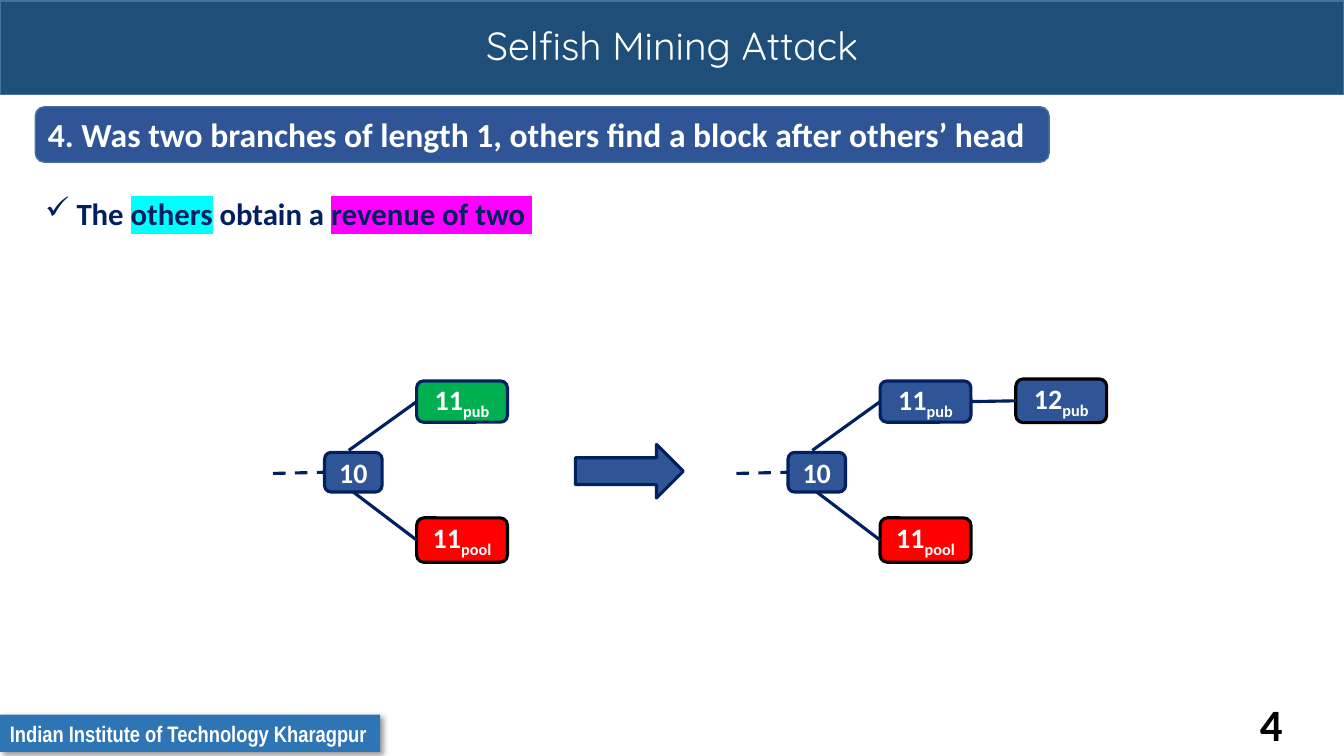
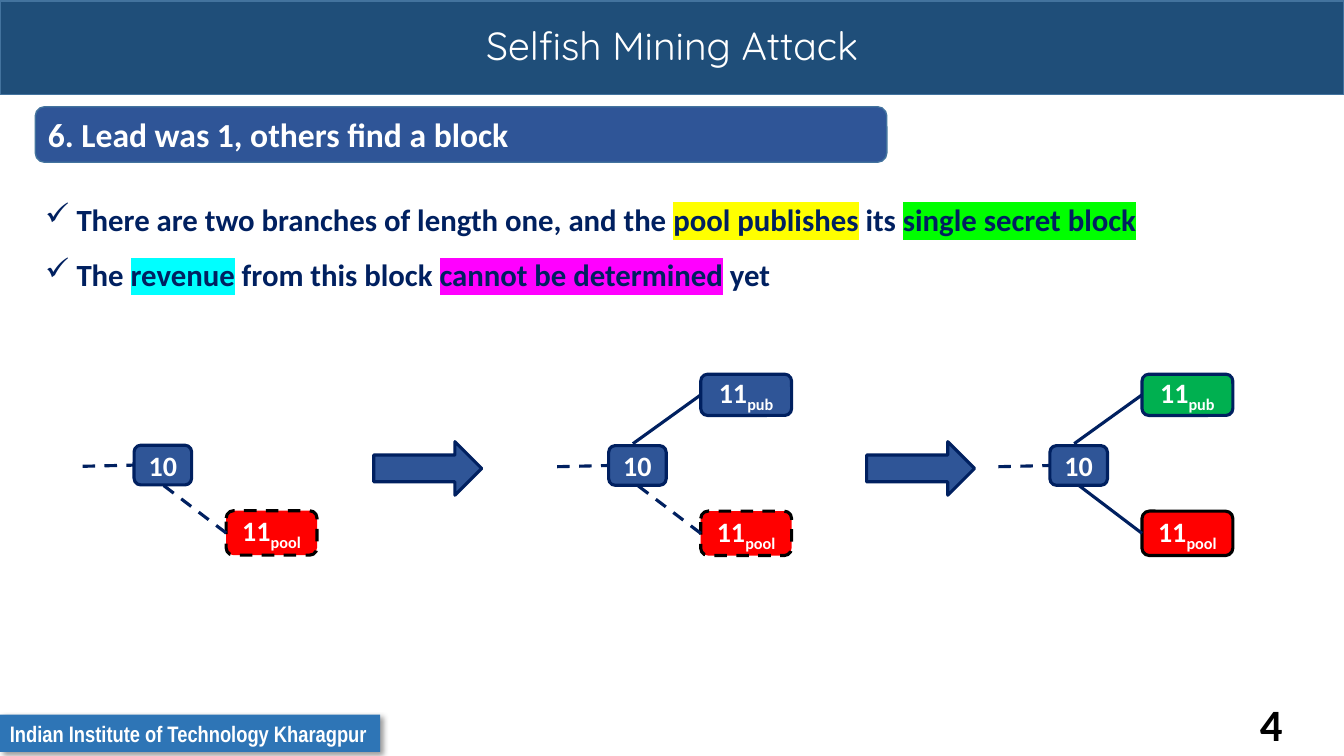
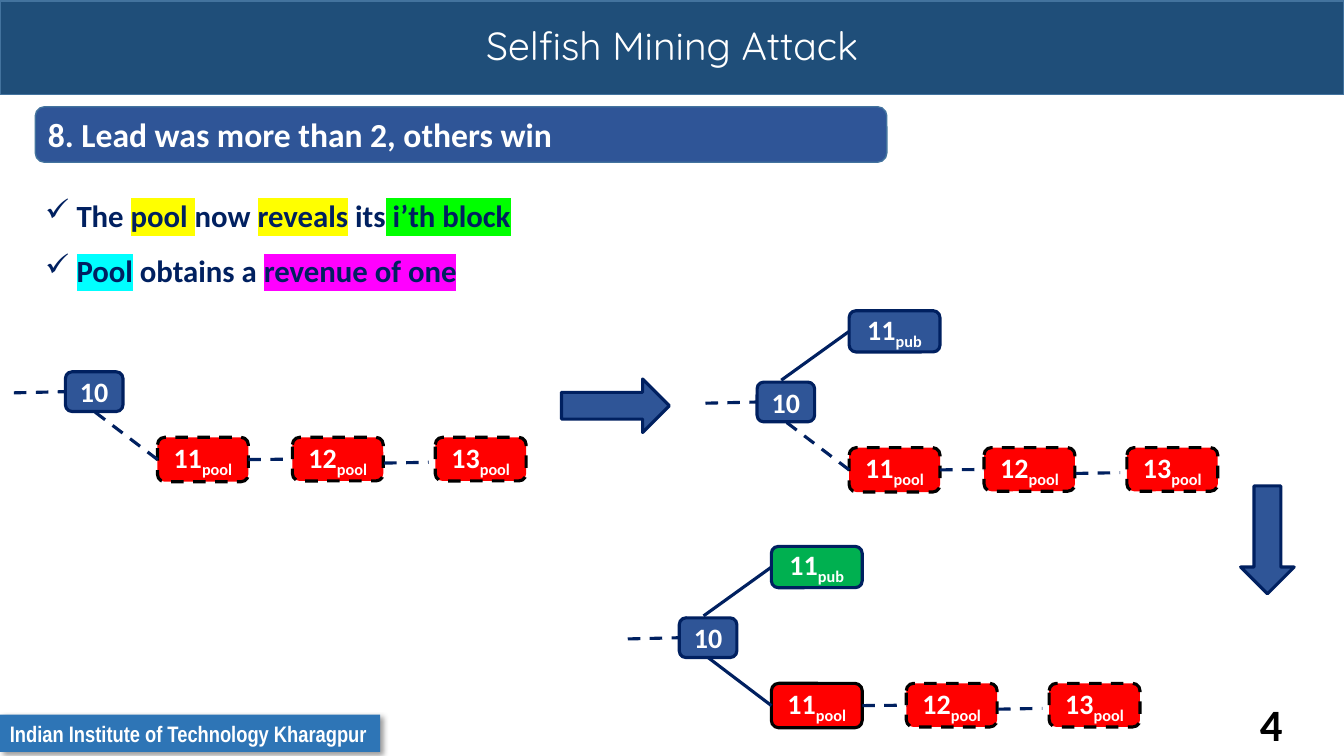
"""Build three slides on the selfish mining attack."""
from dataclasses import dataclass

from lxml.etree import SubElement
from pptx import Presentation
from pptx.dml.color import RGBColor as Rgb
from pptx.enum.dml import MSO_LINE as Dash
from pptx.enum.shapes import MSO_CONNECTOR as Wire, MSO_SHAPE as Form
from pptx.enum.text import MSO_ANCHOR as Anchor, MSO_AUTO_SIZE as Fit, PP_ALIGN as Align
from pptx.oxml.ns import qn
from pptx.shapes.autoshape import Shape
from pptx.shapes.connector import Connector
from pptx.slide import Slide, SlideLayout
from pptx.text.text import _Paragraph as Para, _Run as Run
from pptx.util import Cm, Pt

HUES = {
    "band": "1F4E79", "edge": "43739E", "foot": "2E75B6", "blue": "2F5597",
    "navy": "002060", "green": "00B050", "red": "FF0000", "black": "000000",
    "white": "FFFFFF", "aqua": "00FFFF", "pink": "FF00FF", "yellow": "FFFF00",
    "lime": "00FF00",
}
WIDE, HIGH = 33.87, 19.05
BAND = (0, 0.03, WIDE, 2.36)
TOP, LEFT, BOTTOM, RIGHT = range(4)
Point = tuple[float, float]
Box = tuple[float, float, float, float]
Line = list[tuple[str, str]]


@dataclass
class Fork:
    """A root block at x, y with its public and pool branches."""
    x: float
    y: float
    pub: str = ""
    pool: str = "open"
    more: bool = False
    won: bool = False


@dataclass
class Arrow:
    """A block arrow between two states."""
    x: float
    y: float
    turn: int = 0


@dataclass
class Page:
    """The content of one slide."""
    head: str
    width: float
    top: float
    lines: list[Line]
    forks: list[Fork]
    arrows: list[Arrow]


PAGES = [
    Page("4. Was two branches of length 1, others find a block after others’ head",
         25.55, 4.32,
         [[("The ", ""), ("others", "aqua"), (" obtain a ", ""), ("revenue of two ", "pink")]],
         [Fork(8.18, 11.4, "green"), Fork(19.86, 11.4, "blue", won=True)],
         [Arrow(14.5, 11.2)]),
    Page("6. Lead was 1, others find a block", 21.46, 4.47,
         [[("There are two branches of length one, and the ", ""), ("pool publishes", "yellow"),
           (" its ", ""), ("single secret block", "lime")],
          [("The ", ""), ("revenue", "aqua"), (" from this block ", ""),
           ("cannot be determined", "pink"), (" yet", "")]],
         [Fork(3.38, 11.22, pool="secret"), Fork(15.34, 11.23, "blue", "secret"),
          Fork(26.46, 11.23, "green")],
         [Arrow(9.42, 11.13), Arrow(21.84, 11.13)]),
    Page("8. Lead was more than 2, others win", 21.46, 4.37,
         [[("The ", ""), ("pool ", "yellow"), ("now ", ""), ("reveals", "yellow"),
           (" its", ""), (" i’th block", "lime")],
          [("Pool", "aqua"), (" obtains a ", ""), ("revenue of one", "pink")]],
         [Fork(1.65, 9.37, pool="secret", more=True),
          Fork(19.08, 9.63, "blue", "secret", more=True),
          Fork(17.12, 15.57, "green", more=True)],
         [Arrow(14.15, 9.55), Arrow(30.58, 12.93, 90)]),
]


def tint(name: str) -> Rgb:
    """Return a named colour."""
    return Rgb.from_string(HUES[name])


def write(para: Para, text: str, size: float, hue: str = "white",
          face: str = "Calibri", bold: bool = True) -> Run:
    """Add a formatted run."""
    run = para.add_run()
    run.text = text
    font = run.font
    font.size, font.name, font.bold = Pt(size), face, bold
    font.color.rgb = tint(hue)
    return run


def plate(slide: Slide, form: Form, box: Box, fill: str, edge: str = "",
          weight: float = 1, dash: bool = False) -> Shape:
    """Draw a filled shape with an optional outline."""
    shape = slide.shapes.add_shape(form, *map(Cm, box))
    shape.shadow.inherit = False
    shape.fill.solid()
    shape.fill.fore_color.rgb = tint(fill)
    if edge:
        shape.line.color.rgb = tint(edge)
        shape.line.width = Pt(weight)
        if dash:
            shape.line.dash_style = Dash.DASH
    else:
        shape.line.fill.background()
    return shape


def block(slide: Slide, box: Box, text: str, sub: str = "", fill: str = "blue",
          edge: str = "navy", dash: bool = False) -> Shape:
    """Draw a chain block with its number and subscript."""
    shape = plate(slide, Form.ROUNDED_RECTANGLE, box, fill, edge, 2.25, dash)
    para = shape.text_frame.paragraphs[0]
    para.alignment = Align.CENTER
    write(para, text, 20)
    if sub:
        run = write(para, sub, 20)
        run.font._element.set("baseline", "-25000")
    return shape


def wire(slide: Slide, start: Point, stop: Point, dash: bool = False) -> Connector:
    """Draw a straight line between two points."""
    line = slide.shapes.add_connector(Wire.STRAIGHT, *map(Cm, start + stop))
    line.line.color.rgb = tint("navy")
    line.line.width = Pt(2.25)
    if dash:
        line.line.dash_style = Dash.DASH
    SubElement(line.element.spPr, qn("a:effectLst"))
    return line


def link(slide: Slide, start: Shape, out: int, stop: Shape, into: int, dash: bool) -> None:
    """Join the sides of two blocks."""
    line = wire(slide, (0, 0), (1, 1), dash)
    line.begin_connect(start, out)
    line.end_connect(stop, into)


def draw(slide: Slide, fork: Fork) -> None:
    """Draw a root block and its branches."""
    x, y = fork.x, fork.y
    root = block(slide, (x, y, 1.45, 1), "10")
    wire(slide, (x - 1.3, y + 0.53), (x, y + 0.5), True).end_connect(root, LEFT)
    if fork.pub:
        pub = block(slide, (x + 2.32, y - 1.8, 2.29, 1.04), "11", "pub", fork.pub)
        wire(slide, (x + 2.3, y - 1.25), (x + 0.61, y - 0.05)).begin_connect(pub, LEFT)
    if fork.won:
        head = block(slide, (x + 5.74, y - 1.85, 2.29, 1.1), "12", "pub", edge="black")
        link(slide, pub, RIGHT, head, LEFT, False)
    dash = fork.pool == "secret"
    pool = block(slide, (x + 2.32, y + 1.65, 2.29, 1.12), "11", "pool", "red", "black", dash)
    link(slide, pool, LEFT, root, BOTTOM, dash)
    if fork.more:
        mid, _ = [block(slide, (x + dx, y + 1.65, 2.29, 1.1), text, "pool", "red", "black", True)
                  for dx, text in ((5.72, "12"), (9.32, "13"))]
        link(slide, pool, RIGHT, mid, LEFT, True)
        wire(slide, (x + 8.03, y + 2.3), (x + 9.15, y + 2.28), True)


def dress(slide: Slide, layout: SlideLayout) -> None:
    """Move the title band and footer to the layout."""
    band = plate(slide, Form.RECTANGLE, BAND, "band", "edge")
    foot = plate(slide, Form.RECTANGLE, (0, 18.01, 9.58, 0.94), "foot")
    frame = foot.text_frame
    frame.word_wrap = False
    frame.auto_size = Fit.SHAPE_TO_FIT_TEXT
    frame.vertical_anchor = Anchor.TOP
    para = frame.paragraphs[0]
    para.alignment = Align.LEFT
    write(para, "Indian Institute of Technology Kharagpur", 16, face="Arial Narrow")
    glow = SubElement(foot.element.spPr.find(qn("a:effectLst")), qn("a:outerShdw"),
                      blurRad=str(Pt(4)), dist=str(Pt(3)), dir="2700000", algn="tl")
    shade = SubElement(glow, qn("a:srgbClr"), val=HUES["black"])
    SubElement(shade, qn("a:alpha"), val="40000")
    for shape in (band, foot):
        layout.shapes.element.append(shape.element)


def entitle(slide: Slide) -> None:
    """Place the title and the page number."""
    title = slide.shapes.title
    title.left, title.top, title.width, title.height = map(Cm, BAND)
    frame = title.text_frame
    frame.auto_size = Fit.NONE
    frame.vertical_anchor = Anchor.MIDDLE
    para = frame.paragraphs[0]
    para.alignment = Align.CENTER
    para.line_spacing = 0.9
    write(para, "Selfish Mining Attack", 28, face="Quicksand", bold=False)
    page = slide.shapes.add_textbox(*map(Cm, (31.5, 17.42, 2.21, 1.63))).text_frame
    page.word_wrap = True
    write(page.paragraphs[0], "4", 32, "black")


def listing(slide: Slide, top: float, lines: list[Line]) -> None:
    """Write ticked lines with highlighted words."""
    tall = 0.12 + 1.4 * len(lines)
    frame = slide.shapes.add_textbox(*map(Cm, (0.89, top, 31.14, tall))).text_frame
    frame.word_wrap = True
    for i, line in enumerate(lines):
        para = frame.add_paragraph() if i else frame.paragraphs[0]
        para.line_spacing = 1.5
        props = para._p.get_or_add_pPr()
        props.set("marL", str(Cm(0.79)))
        props.set("indent", str(Cm(-0.79)))
        SubElement(props, qn("a:buChar"), char="✓")
        for text, mark in line:
            look = write(para, text, 22, "navy").font._element
            if mark:
                light = SubElement(look, qn("a:highlight"))
                SubElement(light, qn("a:srgbClr"), val=HUES[mark])
                look.insert(1, light)


def build(slide: Slide, page: Page) -> None:
    """Fill one slide."""
    entitle(slide)
    head = plate(slide, Form.ROUNDED_RECTANGLE, (0.89, 2.69, page.width, 1.4), "blue", "edge")
    para = head.text_frame.paragraphs[0]
    para.alignment = Align.LEFT
    write(para, page.head, 24)
    listing(slide, page.top, page.lines)
    for fork in page.forks:
        draw(slide, fork)
    for arrow in page.arrows:
        shape = plate(slide, Form.RIGHT_ARROW, (arrow.x, arrow.y, 2.72, 1.35),
                      "blue", "navy", 2.25)
        shape.rotation = arrow.turn


def main() -> None:
    """Create and save the deck."""
    deck = Presentation()
    deck.slide_width, deck.slide_height = Cm(WIDE), Cm(HIGH)
    layout = deck.slide_layouts[5]
    for i, page in enumerate(PAGES):
        slide = deck.slides.add_slide(layout)
        if not i:
            dress(slide, layout)
        build(slide, page)
    deck.save("out.pptx")


if __name__ == "__main__":
    main()
